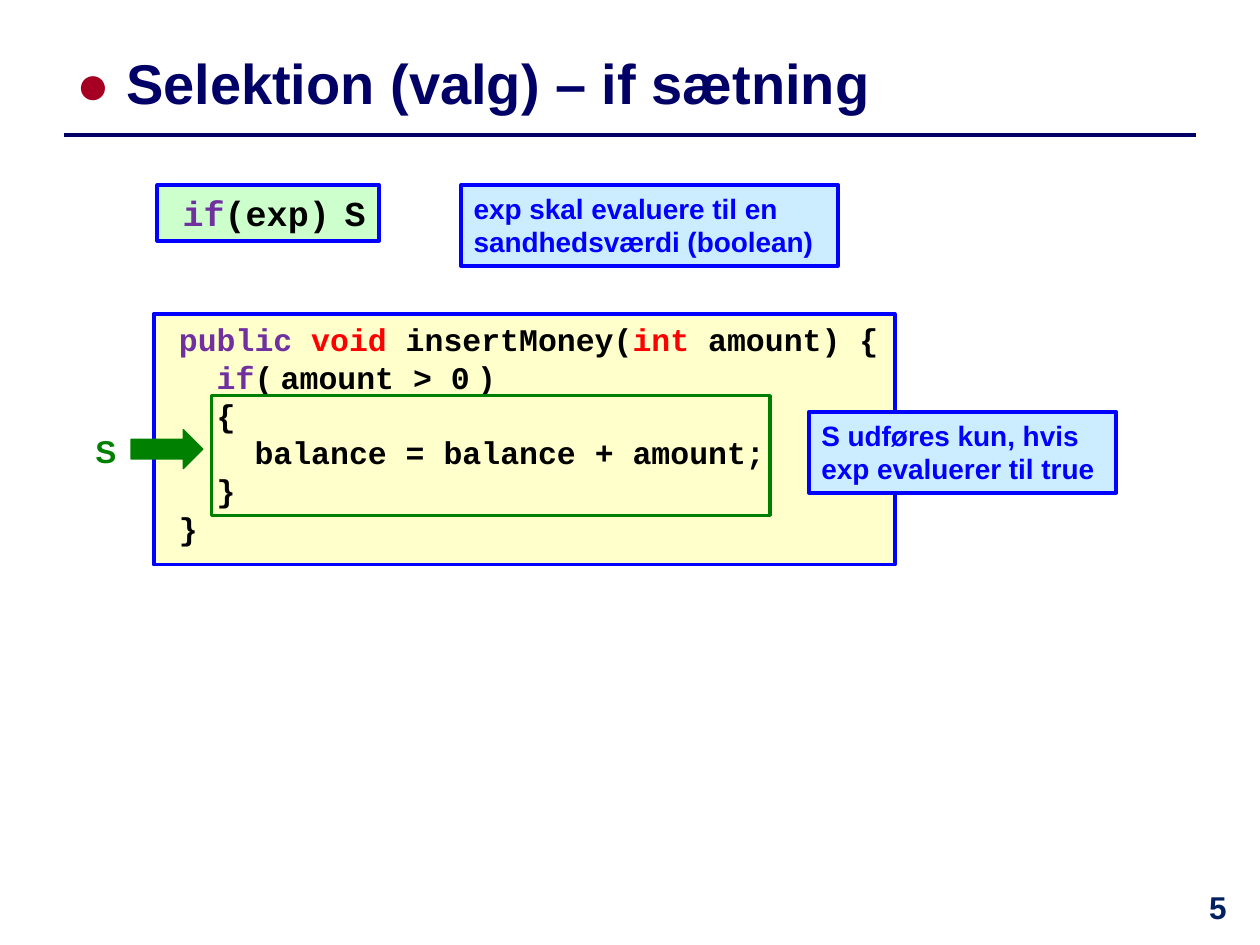
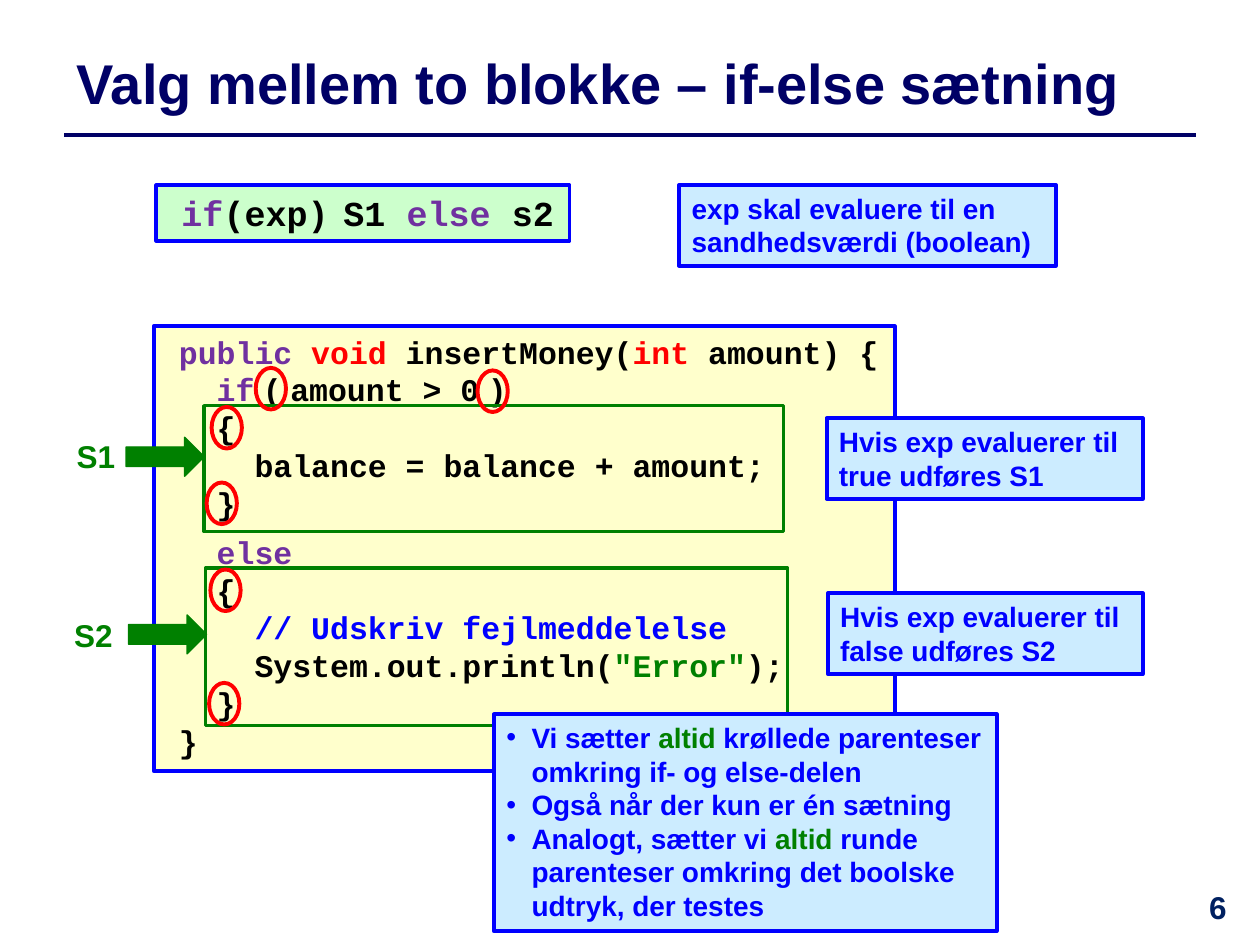
from dataclasses import dataclass
from typing import NamedTuple, Optional

from lxml.etree import SubElement
from pptx import Presentation
from pptx.dml.color import RGBColor
from pptx.enum.shapes import MSO_CONNECTOR as Connector, MSO_SHAPE as Preset
from pptx.enum.text import MSO_ANCHOR as Anchor, PP_ALIGN as Align
from pptx.oxml.ns import qn
from pptx.util import Pt

PX = 9144

NAVY = RGBColor(0x00, 0x00, 0x66)
NUMBER_BLUE = RGBColor(0x00, 0x20, 0x60)
CRIMSON = RGBColor(0xA5, 0x00, 0x21)
BLUE = RGBColor(0x00, 0x00, 0xFF)
GREEN = RGBColor(0x00, 0x80, 0x00)
RED = RGBColor(0xFF, 0x00, 0x00)
PURPLE = RGBColor(0x70, 0x30, 0xA0)
BLACK = RGBColor(0x00, 0x00, 0x00)
PALE_GREEN = RGBColor(0xCC, 0xFF, 0xCC)
PALE_BLUE = RGBColor(0xCC, 0xEC, 0xFF)
PALE_YELLOW = RGBColor(0xFF, 0xFF, 0xCC)


class Run(NamedTuple):
    text: str
    color: Optional[RGBColor] = None
    size: Optional[int] = None


class Rect(NamedTuple):
    left: int
    top: int
    width: int
    height: int

    def emu(self) -> list[int]:
        return [value * PX for value in self]


class Line(NamedTuple):
    runs: tuple[Run, ...]
    spacing: Optional[float] = None


@dataclass(frozen=True)
class TextStyle:
    size: int
    color: RGBColor
    font: str = "Arial"
    align: Align = Align.LEFT
    anchor: Anchor = Anchor.TOP
    left_inset: int = 10
    right_inset: int = 10
    bullet: bool = False


@dataclass(frozen=True)
class ShapeStyle:
    preset: Preset
    line: RGBColor
    line_width: float
    fill: Optional[RGBColor] = None


class Block(NamedTuple):
    style: ShapeStyle
    rect: Rect
    text_style: Optional[TextStyle] = None
    lines: tuple[Line, ...] = ()


class Label(NamedTuple):
    rect: Rect
    text: str


@dataclass(frozen=True)
class Page:
    number: int
    title: Line
    blocks: list[Block]
    labels: list[Label]


TITLE_TEXT = TextStyle(32, NAVY, anchor=Anchor.MIDDLE)
NUMBER_TEXT = TextStyle(18, NUMBER_BLUE, align=Align.CENTER)
LABEL_TEXT = TextStyle(18, GREEN)
NOTE_TEXT = TextStyle(16, BLUE)
RULES_TEXT = TextStyle(16, BLUE, bullet=True)
SYNTAX_TEXT = TextStyle(20, BLACK, "Courier New", left_inset=20, right_inset=0)
CODE_TEXT = TextStyle(18, BLACK, "Courier New", left_inset=20, right_inset=0)

SYNTAX_BOX = ShapeStyle(Preset.RECTANGLE, BLUE, 2.25, PALE_GREEN)
CODE_BOX = ShapeStyle(Preset.RECTANGLE, BLUE, 2.25, PALE_YELLOW)
NOTE_BOX = ShapeStyle(Preset.RECTANGLE, BLUE, 2.25, PALE_BLUE)
FRAME = ShapeStyle(Preset.RECTANGLE, GREEN, 2)
ARROW = ShapeStyle(Preset.RIGHT_ARROW, GREEN, 0.75, GREEN)
RING = ShapeStyle(Preset.OVAL, RED, 2.25)


def line(*parts: Run | str, spacing: Optional[float] = None) -> Line:
    return Line(tuple(Run(p) if isinstance(p, str) else p for p in parts), spacing)


def syntax(left: int, width: int, *parts: Run | str) -> Block:
    start = (Run("if", PURPLE), "(exp)", Run(" ", size=14))
    return Block(SYNTAX_BOX, Rect(left, 147, width, 44), SYNTAX_TEXT, (line(*start, *parts),))


def code(top: int, height: int, *lines: Line) -> Block:
    signature = line(Run("public ", PURPLE), Run("void ", RED), "insertMoney(",
                     Run("int ", RED), "amount) {")
    return Block(CODE_BOX, Rect(122, top, 588, height), CODE_TEXT, (signature, *lines))


def note(left: int, top: int, width: int, text: str) -> Block:
    return Block(NOTE_BOX, Rect(left, top, width, 64), NOTE_TEXT, (line(text),))


def boolean_note(left: int) -> Block:
    return note(left, 147, 299, "exp skal evaluere til en sandhedsværdi (boolean)")


def write(shape, style: TextStyle, lines: tuple[Line, ...]) -> None:
    frame = shape.text_frame
    frame.word_wrap = True
    frame.vertical_anchor = style.anchor
    frame.margin_left, frame.margin_right = style.left_inset * PX, style.right_inset * PX
    frame.margin_top = frame.margin_bottom = 5 * PX
    for index, content in enumerate(lines):
        paragraph = frame.add_paragraph() if index else frame.paragraphs[0]
        paragraph.alignment = style.align
        if content.spacing:
            paragraph.line_spacing = content.spacing
        if style.bullet:
            properties = paragraph._p.get_or_add_pPr()
            properties.set("marL", str(20 * PX))
            properties.set("indent", str(-20 * PX))
            SubElement(properties, qn("a:buFont"), typeface="Arial")
            SubElement(properties, qn("a:buChar"), char="•")
        font = paragraph.font
        font.name, font.size, font.bold = style.font, Pt(style.size), True
        font.color.rgb = style.color
        for part in content.runs:
            run = paragraph.add_run()
            run.text = part.text
            if part.color is not None:
                run.font.color.rgb = part.color
            if part.size:
                run.font.size = Pt(part.size)


def add_text(slide, rect: Rect, style: TextStyle, content: Line) -> None:
    write(slide.shapes.add_textbox(*rect.emu()), style, (content,))


def add_block(slide, block: Block) -> None:
    style = block.style
    shape = slide.shapes.add_shape(style.preset, *block.rect.emu())
    shape.shadow.inherit = False
    shape.line.color.rgb = style.line
    shape.line.width = Pt(style.line_width)
    if style.fill is None:
        shape.fill.background()
    else:
        shape.fill.solid()
        shape.fill.fore_color.rgb = style.fill
    if block.text_style:
        write(shape, block.text_style, block.lines)


def add_title_rule(slide) -> None:
    rule = slide.shapes.add_connector(Connector.STRAIGHT, 51 * PX, 107 * PX, 949 * PX, 107 * PX)
    rule.line.color.rgb = NAVY
    rule.line.width = Pt(2)
    SubElement(rule._element.spPr, qn("a:effectLst"))


def add_page(presentation, page: Page) -> None:
    slide = presentation.slides.add_slide(presentation.slide_layouts[6])
    add_title_rule(slide)
    add_text(slide, Rect(51, 28, 898, 75), TITLE_TEXT, page.title)
    add_text(slide, Rect(933, 700, 67, 50), NUMBER_TEXT, line(str(page.number)))
    for block in page.blocks:
        add_block(slide, block)
    for label in page.labels:
        add_text(slide, label.rect, LABEL_TEXT, line(label.text))


IF_KEYWORD = Run("  if", PURPLE)
THEN_BLOCK = (line("  {"), line("    balance = balance + amount;"), line("  }"))
NARROW, THIN = Run(" ", size=7), Run(" ", size=8)
ALWAYS_RULES = (
    line("Vi sætter ", Run("altid", GREEN), " krøllede parenteser omkring if- og else-delen"),
    line("Også når der kun er én sætning"),
    line("Analogt, sætter vi ", Run("altid ", GREEN),
         "runde parenteser omkring det boolske udtryk, der testes"),
)
RING_CORNERS = [(168, 323), (164, 383), (203, 292), (379, 294), (166, 542), (167, 452)]

IF_PAGE = Page(
    5,
    line(Run("● ", CRIMSON), "Selektion (valg) – if sætning"),
    [
        syntax(125, 176, "S"),
        boolean_note(366),
        code(249, 199,
             line(IF_KEYWORD, "(", NARROW, "amount > 0", NARROW, ")"),
             *THEN_BLOCK,
             line("}")),
        Block(ARROW, Rect(104, 341, 57, 31)),
        Block(FRAME, Rect(168, 314, 443, 95)),
        note(642, 327, 244, "S udføres kun, hvis exp evaluerer til true"),
    ],
    [Label(Rect(66, 338, 40, 40), "S")],
)

IF_ELSE_PAGE = Page(
    6,
    line("Valg mellem to blokke – if-else sætning"),
    [
        syntax(124, 328, "S1 ", Run("else", PURPLE), " s2"),
        code(259, 353,
             line(IF_KEYWORD, THIN, "(", THIN, "amount > 0", THIN, ")"),
             *THEN_BLOCK,
             line("  ", Run("else", PURPLE), spacing=1.3),
             line("  {"),
             line("    ", Run("// Udskriv fejlmeddelelse", BLUE)),
             line("    System.out.println(", Run('"Error"', GREEN), ");"),
             line("  }"),
             line("}")),
        Block(FRAME, Rect(162, 322, 460, 100)),
        Block(ARROW, Rect(100, 347, 62, 31)),
        Block(FRAME, Rect(163, 451, 462, 125)),
        Block(ARROW, Rect(102, 488, 62, 31)),
        note(657, 471, 250, "Hvis exp evaluerer til false udføres S2"),
        note(656, 332, 251, "Hvis exp evaluerer til true udføres S1"),
        boolean_note(539),
        Block(NOTE_BOX, Rect(392, 567, 399, 172), RULES_TEXT, ALWAYS_RULES),
        *[Block(RING, Rect(left, top, 24, 33)) for left, top in RING_CORNERS],
    ],
    [Label(Rect(51, 342, 55, 40), "S1"), Label(Rect(49, 484, 55, 40), "S2")],
)


def main() -> None:
    """Build the two slides on selection statements."""
    presentation = Presentation()
    presentation.slide_width, presentation.slide_height = 1000 * PX, 750 * PX
    for page in (IF_PAGE, IF_ELSE_PAGE):
        add_page(presentation, page)
    presentation.save("out.pptx")


if __name__ == "__main__":
    main()
